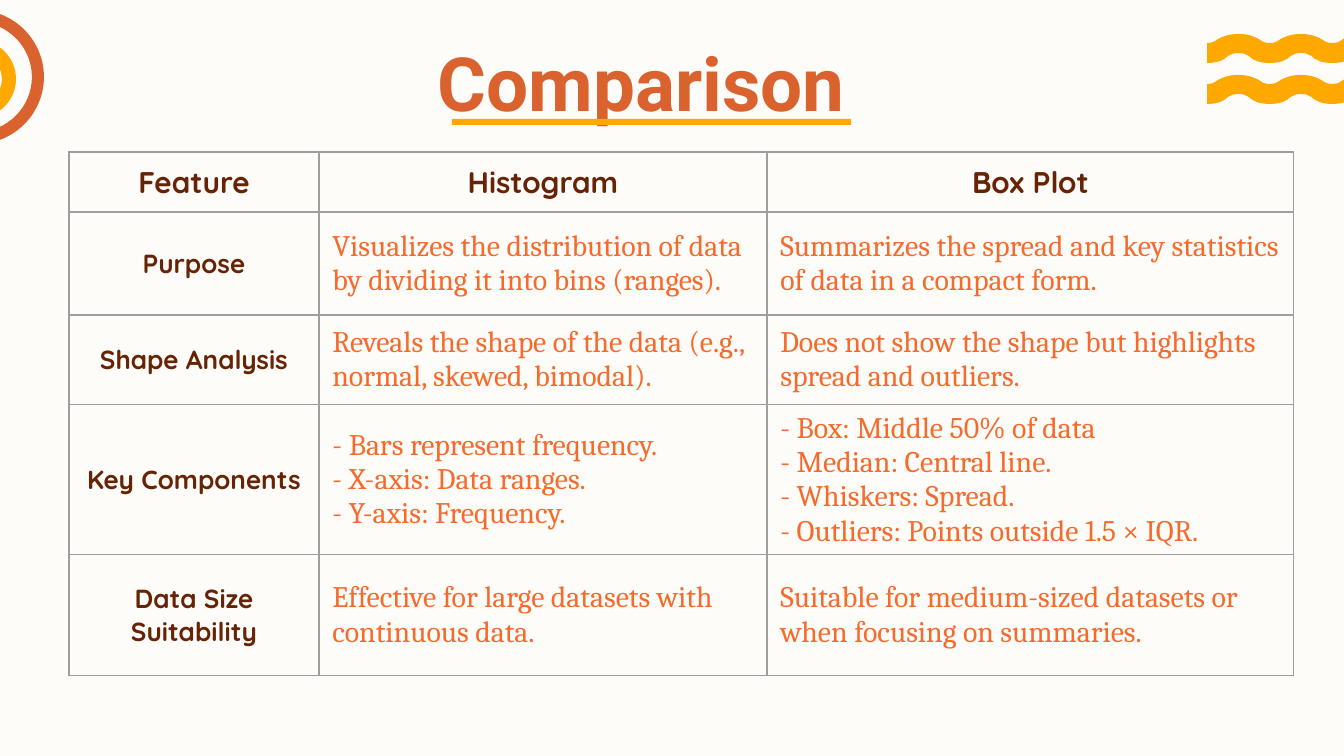
import copy

import lxml.etree
import pptx
import pptx.dml.color
import pptx.enum.shapes
import pptx.enum.text
import pptx.oxml
import pptx.oxml.ns
import pptx.util

RGBColor = pptx.dml.color.RGBColor
ALIGN = pptx.enum.text.PP_ALIGN
ANCHOR = pptx.enum.text.MSO_ANCHOR
qn = pptx.oxml.ns.qn

CREAM = RGBColor(0xFD, 0xFC, 0xF8)
RUST = RGBColor(0xDA, 0x62, 0x2E)
AMBER = RGBColor(0xFF, 0xA9, 0x00)
BROWN = RGBColor(0x66, 0x23, 0x05)
ORANGE = RGBColor(0xF6, 0x6A, 0x2C)
GRID = RGBColor(0x9E, 0x9E, 0x9E)

EMU_PER_PX = 914400 / 134.4
ARC_HANDLE = 0.55

WAVE_PERIODS = 3
WAVE_PERIOD = 188 / WAVE_PERIODS
CREST_HALF = [(0, 9), (5, 9), (7, 8), (11, 5), (15, 3), (21, 0)]
TROUGH_HALF = [(0, 29), (11, 29), (17, 26), (21, 22), (24, 20), (27, 19)]

COLUMN_WIDTHS = [250, 448, 527]
ROW_HEIGHTS = [60, 103, 90, 150, 121]
COMPARISON = [
    ["Feature", "Histogram", "Box Plot"],
    ["Purpose",
     "Visualizes the distribution of data by dividing it into bins (ranges).",
     "Summarizes the spread and key statistics of data in a compact form."],
    ["Shape Analysis",
     "Reveals the shape of the data (e.g., normal, skewed, bimodal).",
     "Does not show the shape but highlights spread and outliers."],
    ["Key Components",
     "- Bars represent frequency. \v- X-axis: Data ranges. \v- Y-axis: Frequency.",
     "- Box: Middle 50% of data\v- Median: Central line. \v- Whiskers: Spread. \v"
     "- Outliers: Points outside 1.5 × IQR."],
    ["Data Size Suitability",
     "Effective for large datasets with continuous data.",
     "Suitable for medium-sized datasets or when focusing on summaries."],
]


def px(length):
    return pptx.util.Emu(round(length * EMU_PER_PX))


def write(frame, text, *, font, size, color, bold=False, align=ALIGN.LEFT, spacing=None):
    frame.word_wrap = True
    paragraph = frame.paragraphs[0]
    paragraph.text = text
    paragraph.alignment = align
    if spacing:
        paragraph.line_spacing = spacing
    for run in paragraph.runs:
        run.font.name = font
        run.font.size = pptx.util.Pt(size)
        run.font.bold = bold
        run.font.color.rgb = color
    for line_break in paragraph._p.findall(qn("a:br")):
        line_break.append(copy.deepcopy(paragraph.runs[0]._r.rPr))


def paint(shape, color):
    shape.shadow.inherit = False
    shape.fill.solid()
    shape.fill.fore_color.rgb = color
    shape.line.fill.background()


def add_band(slide, edge, back_edge, color):
    corners = [(px(x), px(y)) for x, y in edge + back_edge]
    builder = slide.shapes.build_freeform(*corners[0], scale=1.0)
    builder.add_line_segments(corners[1:], close=True)
    band = builder.convert_to_shape()
    lines = list(band._element.iter(qn("a:lnTo")))
    for side in (lines[:len(edge) - 1], lines[len(edge):]):
        for first in range(0, len(side), 3):
            curve = lxml.etree.Element(qn("a:cubicBezTo"))
            side[first].addprevious(curve)
            for line in side[first:first + 3]:
                curve.append(line[0])
                line.getparent().remove(line)
    paint(band, color)


def add_half_ring(slide, center_x, center_y, outer, inner, color):
    unit_arc = [(0, -1), (ARC_HANDLE, -1), (1, -ARC_HANDLE), (1, 0),
                (1, ARC_HANDLE), (ARC_HANDLE, 1), (0, 1)]

    def arc(radius):
        return [(center_x + radius * x, center_y + radius * y) for x, y in unit_arc]

    add_band(slide, arc(outer), arc(inner)[::-1], color)


def add_wave(slide, left, top, color):
    def edge(half, middle_y):
        mirrored = [(WAVE_PERIOD - x, y) for x, y in half[:0:-1]]
        period = half + [(WAVE_PERIOD / 2, middle_y)] + mirrored
        points = [(left + WAVE_PERIOD * n + x, top + y)
                  for n in range(WAVE_PERIODS) for x, y in period]
        return points + [(left + WAVE_PERIOD * WAVE_PERIODS, top + half[0][1])]

    add_band(slide, edge(CREST_HALF, 0), edge(TROUGH_HALF, 19)[::-1], color)


def add_title(slide):
    title = slide.shapes.add_textbox(px(140), px(10), px(1021), px(85))
    frame = title.text_frame
    frame.margin_top = frame.margin_bottom = px(13)
    frame.margin_left = frame.margin_right = px(13)
    write(frame, "Comparison ", font="Roboto", size=40, color=RUST, bold=True,
          align=ALIGN.CENTER, spacing=1.15)
    underline = slide.shapes.add_shape(
        pptx.enum.shapes.MSO_SHAPE.RECTANGLE, px(452), px(119), px(399), px(6))
    paint(underline, AMBER)


def add_borders(cell):
    properties = cell._tc.get_or_add_tcPr()
    for side in ("lnL", "lnR", "lnT", "lnB"):
        properties.append(pptx.oxml.parse_xml(
            f'<a:{side} xmlns:a="http://schemas.openxmlformats.org/drawingml/2006/main" '
            f'w="{pptx.util.Pt(0.75)}"><a:solidFill><a:srgbClr val="{GRID}"/>'
            f'</a:solidFill></a:{side}>'))


def add_comparison(slide):
    table = slide.shapes.add_table(
        len(ROW_HEIGHTS), len(COLUMN_WIDTHS), px(69), px(152),
        px(sum(COLUMN_WIDTHS)), px(sum(ROW_HEIGHTS))).table
    table.first_row = table.horz_banding = False
    for column, width in zip(table.columns, COLUMN_WIDTHS):
        column.width = px(width)
    for row, height in zip(table.rows, ROW_HEIGHTS):
        row.height = px(height)
    for r, texts in enumerate(COMPARISON):
        for c, text in enumerate(texts):
            cell = table.cell(r, c)
            add_borders(cell)
            cell.fill.background()
            cell.vertical_anchor = ANCHOR.MIDDLE
            cell.margin_top = cell.margin_bottom = px(3)
            if r == 0 or c == 0:
                write(cell.text_frame, text, font="Quicksand", size=16 if r == 0 else 14,
                      color=BROWN, bold=True, align=ALIGN.CENTER)
            else:
                write(cell.text_frame, text, font="Cambria", size=16, color=ORANGE)


def main():
    presentation = pptx.Presentation()
    presentation.slide_width = px(1344)
    presentation.slide_height = px(756)
    slide = presentation.slides.add_slide(presentation.slide_layouts[6])
    slide.background.fill.solid()
    slide.background.fill.fore_color.rgb = CREAM

    add_half_ring(slide, -23, 77, 67, 55, RUST)
    add_half_ring(slide, -23, 79, 39, 25, AMBER)
    for top in (34, 75):
        add_wave(slide, 1207, top, AMBER)
    add_title(slide)
    add_comparison(slide)
    presentation.save("out.pptx")


if __name__ == "__main__":
    main()
